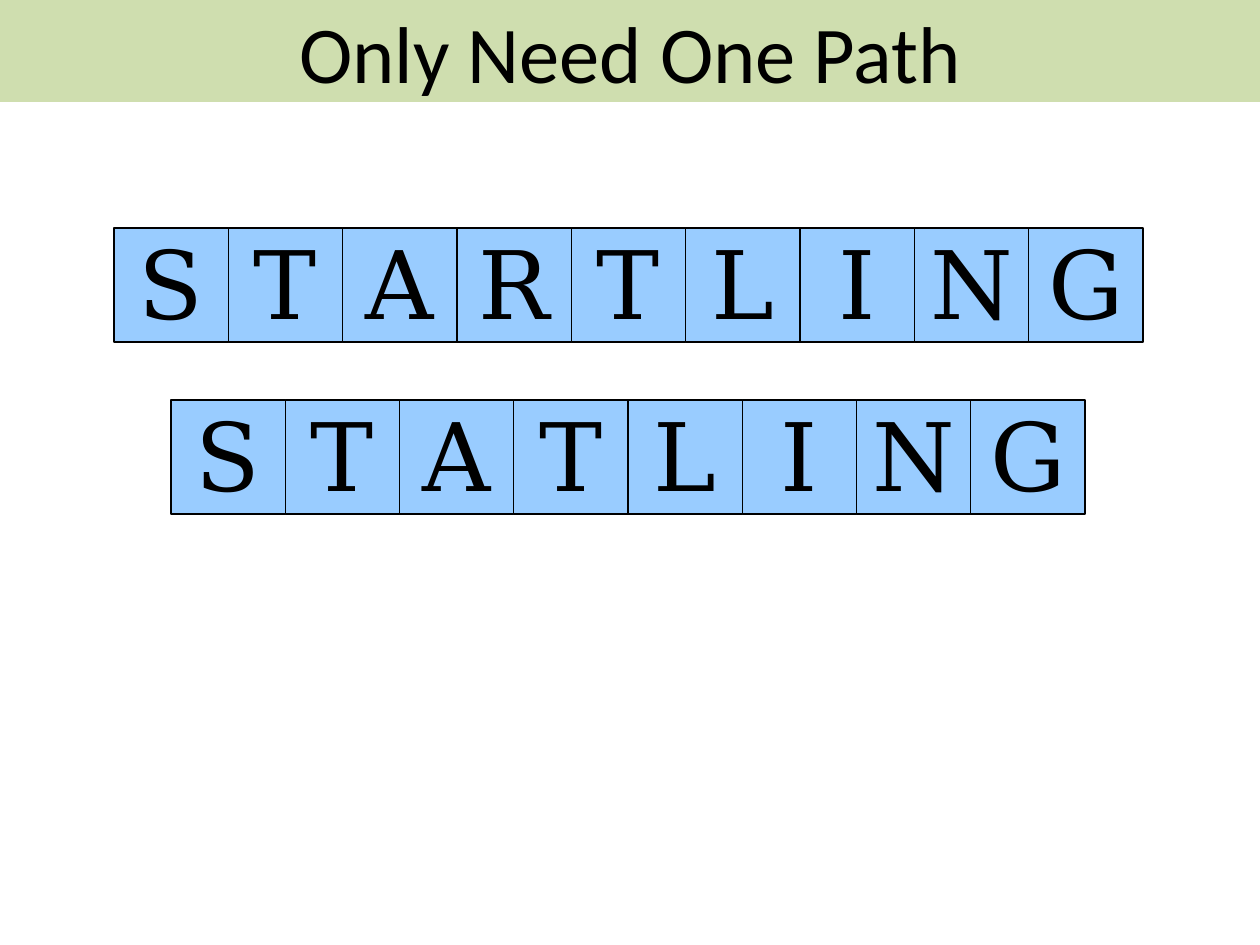
from lxml.etree import SubElement
from pptx import Presentation
from pptx.dml.color import RGBColor
from pptx.enum.shapes import MSO_SHAPE
from pptx.enum.text import MSO_ANCHOR, PP_ALIGN
from pptx.oxml.ns import qn
from pptx.util import Pt

EMU_PER_PX = 914400 / 126
COLORS = {"banner": "C3D69B", "tile": "99CCFF", "ink": "000000"}


def px(length):
    return round(length * EMU_PER_PX)


def color(name):
    return RGBColor.from_string(COLORS[name])


def add_labeled_box(slide, box, text, fill, font_name, size):
    """Add a filled rectangle with one centred line of text."""
    shape = slide.shapes.add_shape(MSO_SHAPE.RECTANGLE, *map(px, box))
    shape.shadow.inherit = False
    shape.fill.solid()
    shape.fill.fore_color.rgb = color(fill)
    shape.text_frame.vertical_anchor = MSO_ANCHOR.MIDDLE
    paragraph = shape.text_frame.paragraphs[0]
    paragraph.text = text
    paragraph.alignment = PP_ALIGN.CENTER
    paragraph.font.name = font_name
    paragraph.font.size = Pt(size)
    paragraph.font.color.rgb = color("ink")
    return shape


def add_letter_row(slide, box, word):
    """Split the box into equal tiles, one for each letter of the word."""
    left, top, width, height = box
    tile_width = width / len(word)
    for index, letter in enumerate(word):
        tile_box = (left + index * tile_width, top, tile_width, height)
        tile = add_labeled_box(slide, tile_box, letter, "tile", "DejaVu Serif", 54)
        tile.line.color.rgb = color("ink")
        tile.line.width = Pt(0.75)
        frame = tile.text_frame
        frame.word_wrap = False
        frame.margin_left = frame.margin_right = px(11)
        frame.margin_top = px(8)
        frame.margin_bottom = px(5)
        frame.paragraphs[0].line_spacing = 0.98


def add_title_banner(slide, box, title):
    banner = add_labeled_box(slide, box, title, "banner", "Calibri", 46)
    banner.line.fill.background()
    fill_color = banner._element.spPr.find(qn("a:solidFill"))[0]
    SubElement(fill_color, qn("a:alpha"), val="80000")


def main():
    presentation = Presentation()
    presentation.slide_width = px(1260)
    presentation.slide_height = px(945)
    slide = presentation.slides.add_slide(presentation.slide_layouts[6])
    add_letter_row(slide, (114, 228, 1029, 114), "STARTLING")
    add_letter_row(slide, (171, 400, 914, 114), "STATLING")
    add_title_banner(slide, (0, 0, 1260, 102), "Only Need One Path")
    presentation.save("out.pptx")


if __name__ == "__main__":
    main()
